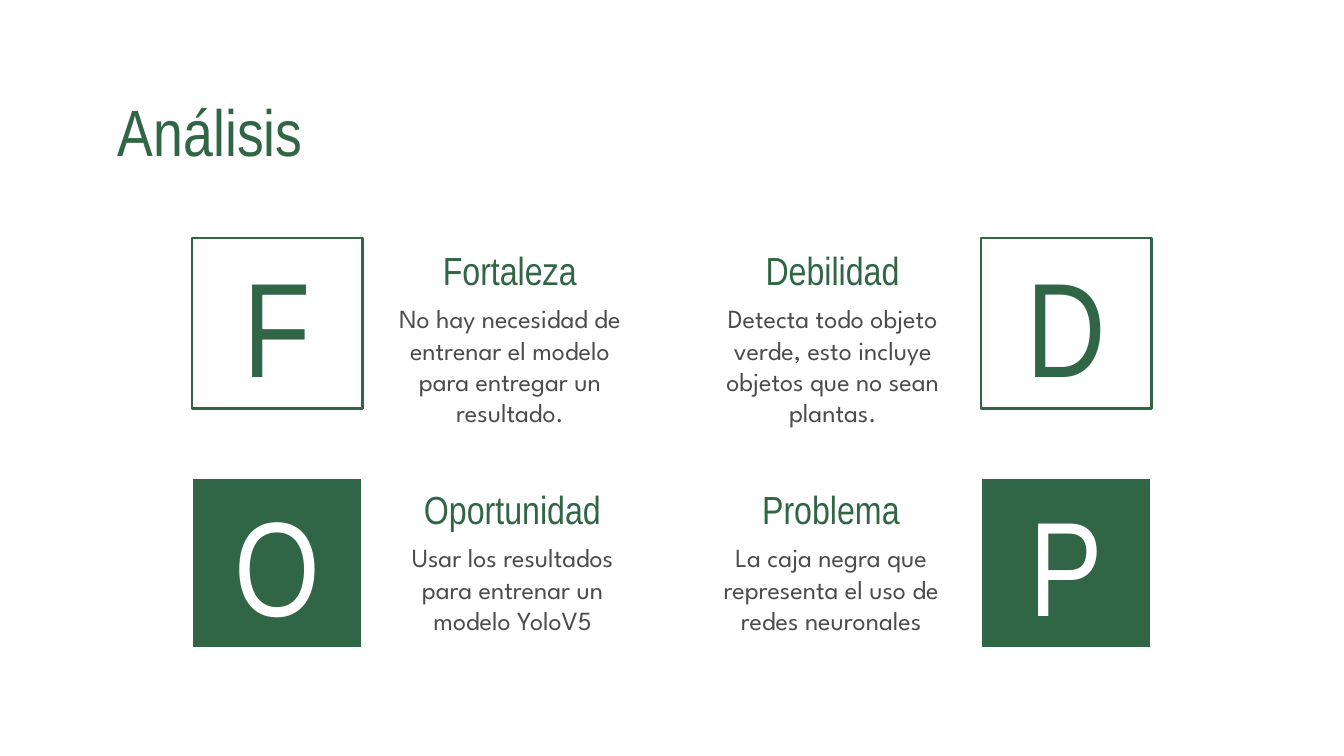
from pptx import Presentation
from pptx.dml.color import RGBColor
from pptx.enum.shapes import MSO_SHAPE
from pptx.enum.text import MSO_ANCHOR, MSO_AUTO_SIZE, PP_ALIGN
from pptx.util import Cm, Pt

RECTANGLE = MSO_SHAPE.RECTANGLE
TOP, MIDDLE = MSO_ANCHOR.TOP, MSO_ANCHOR.MIDDLE
LEFT, CENTER = PP_ALIGN.LEFT, PP_ALIGN.CENTER
NO_AUTOFIT = MSO_AUTO_SIZE.NONE

GREEN = RGBColor(0x30, 0x66, 0x45)
GRAY = RGBColor(0x4C, 0x4C, 0x4C)
WHITE = RGBColor(0xFF, 0xFF, 0xFF)

HEADING_FONT = "Arial Narrow"
BODY_FONT = "League Spartan"

TITLE_ONLY = 5
SQUARE_SIZE = 3.23
LEFT_SQUARE, RIGHT_SQUARE = 3.63, 18.54
TOP_ROW, BOTTOM_ROW = 4.5, 9.02

# letter, square left, row top, text left, filled, heading, description
QUADRANTS = [
    ("F", LEFT_SQUARE, TOP_ROW, 6.65, False, "Fortaleza",
     "No hay necesidad de entrenar el modelo para entregar un resultado."),
    ("D", RIGHT_SQUARE, TOP_ROW, 12.75, False, "Debilidad",
     "Detecta todo objeto verde, esto incluye objetos que no sean plantas."),
    ("O", LEFT_SQUARE, BOTTOM_ROW, 6.7, True, "Oportunidad",
     "Usar los resultados para entrenar un modelo YoloV5"),
    ("P", RIGHT_SQUARE, BOTTOM_ROW, 12.72, True, "Problema",
     "La caja negra que representa el uso de redes neuronales"),
]


def write_text(shape, text, *, size, color=GREEN, font=HEADING_FONT,
               align=CENTER, anchor=TOP):
    frame = shape.text_frame
    frame.word_wrap = True
    frame.auto_size = NO_AUTOFIT
    frame.vertical_anchor = anchor
    frame.margin_left = frame.margin_right = Cm(0.25)
    frame.margin_top = frame.margin_bottom = Cm(0.25)
    para = frame.paragraphs[0]
    para.alignment = align
    span = para.add_run()
    span.text = text
    span.font.size = Pt(size)
    span.font.name = font
    span.font.color.rgb = color


def add_title(page, text):
    title = page.shapes.title
    title.left, title.top = Cm(1.98), Cm(1.47)
    title.width, title.height = Cm(7.29), Cm(1.6)
    write_text(title, text, size=35, align=LEFT)


def add_text(page, text, left, top, width, height, **text_format):
    box = page.shapes.add_textbox(Cm(left), Cm(top), Cm(width), Cm(height))
    write_text(box, text, **text_format)


def add_letter_square(page, letter, left, top, filled):
    square = page.shapes.add_shape(
        RECTANGLE, Cm(left), Cm(top), Cm(SQUARE_SIZE), Cm(SQUARE_SIZE))
    square.shadow.inherit = False
    if filled:
        square.fill.solid()
        square.fill.fore_color.rgb = GREEN
    else:
        square.fill.background()
    accent = WHITE if filled else GREEN
    square.line.color.rgb = accent
    square.line.width = Pt(1.5)
    write_text(square, letter, size=72, color=accent, anchor=MIDDLE)


def add_quadrant(page, letter, square_left, top, text_left, filled,
                 heading, description):
    add_text(page, heading, text_left, top - 0.1, 5.97, 1.22, size=21)
    add_text(page, description, text_left + 0.63, top + 0.97, 4.72, 2.29,
             size=14, color=GRAY, font=BODY_FONT)
    add_letter_square(page, letter, square_left, top, filled)


def main():
    deck = Presentation()
    deck.slide_width, deck.slide_height = Cm(25.4), Cm(14.29)
    page = deck.slides.add_slide(deck.slide_layouts[TITLE_ONLY])
    page.background.fill.solid()
    page.background.fill.fore_color.rgb = WHITE

    add_title(page, "Análisis")
    for quadrant in QUADRANTS:
        add_quadrant(page, *quadrant)

    deck.save("out.pptx")


if __name__ == "__main__":
    main()
